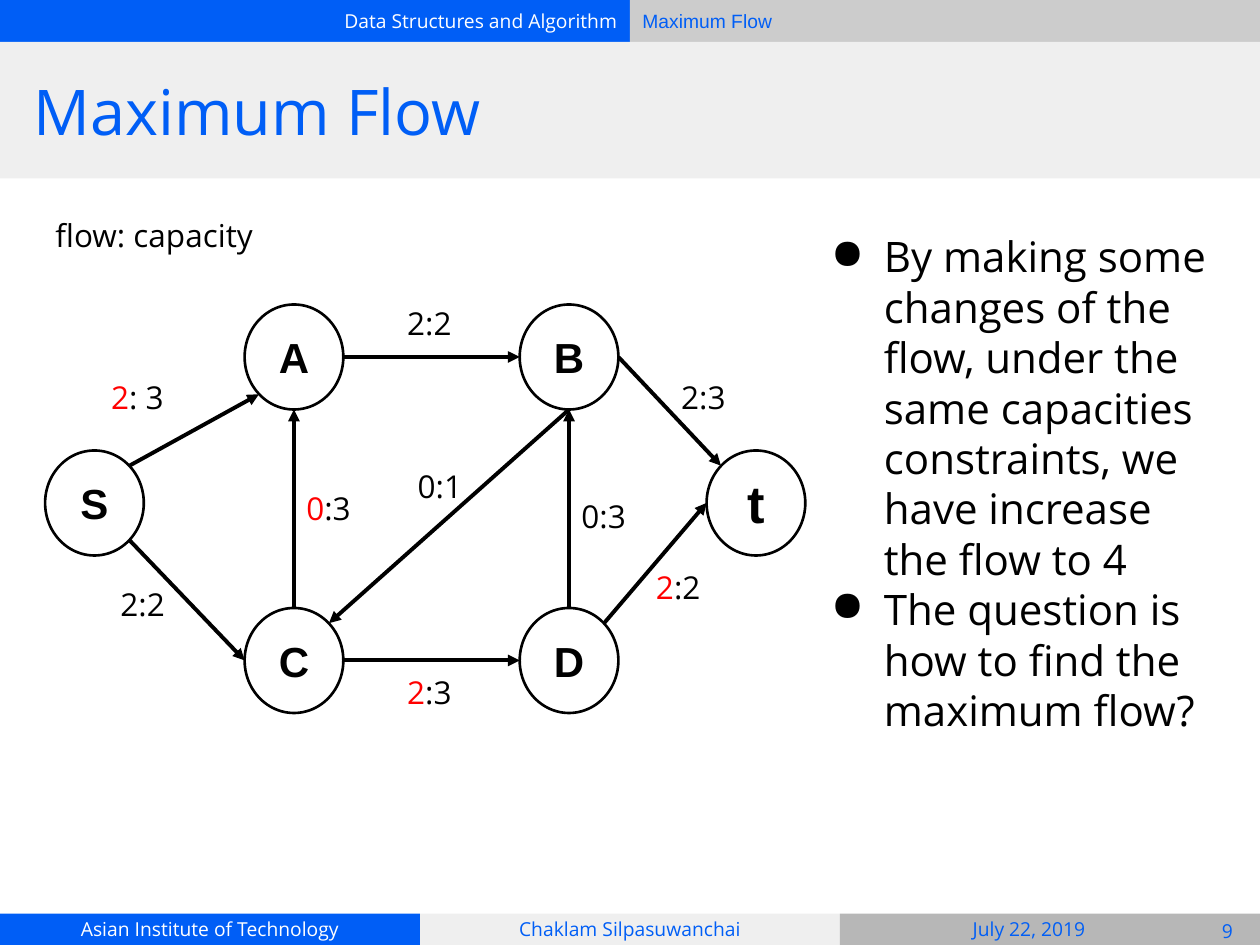
from lxml.etree import SubElement as Sub
from pptx import Presentation
from pptx.dml.color import RGBColor
from pptx.enum.shapes import MSO_CONNECTOR as Link, MSO_SHAPE as Kind
from pptx.enum.text import MSO_ANCHOR as Anchor, MSO_AUTO_SIZE as Fit, PP_ALIGN as Align
from pptx.oxml.ns import qn
from pptx.util import Inches, Pt

COLS, ROWS = 120, 90
WIDE, HIGH = Inches(10), Inches(7.5)
BLUE, WHITE, BLACK, RED = "005EF6", "FFFFFF", "000000", "FF0000"
PALE, GREY, MID = "EFEFEF", "CCCCCC", "B7B7B7"
SANS = "Open Sans"

# Node centres and sizes in columns and rows, measured from the graph's corner
NODE_W, NODE_H = 9.4, 10
NODES = {
    "S": (4.7, 18.9, 24), "t": (67.7, 18.9, 30),
    "A": (23.7, 5, 24), "C": (23.7, 33.9, 24),
    "D": (49.9, 33.9, 24), "B": (49.9, 5, 24),
}
DIAG = 0.71
SIDES = {
    "N": (0, -1), "S": (0, 1), "W": (-1, 0), "E": (1, 0),
    "NE": (DIAG, -DIAG), "SE": (DIAG, DIAG),
    "NW": (-DIAG, -DIAG), "SW": (-DIAG, DIAG),
}
# start, side, end, side, flow, capacity, flow colour, label column, row, width
EDGES = [
    ("S", "NE", "A", "SW", "2", ": 3", RED, 5.1, 5.8, 9.4),
    ("S", "SE", "C", "W", "2", ":2", BLACK, 6, 25.5, 8.6),
    ("A", "E", "B", "W", "2", ":2", BLACK, 33.3, -1.2, 7),
    ("C", "N", "A", "S", "0", ":3", RED, 23.7, 16.4, 7),
    ("B", "S", "C", "NE", "0", ":1", BLACK, 34.3, 14.3, 7),
    ("C", "E", "D", "W", "2", ":3", RED, 33.3, 33.9, 8),
    ("D", "N", "B", "S", "0", ":3", BLACK, 49.9, 17.1, 7),
    ("B", "E", "t", "NW", "2", ":3", BLACK, 59.4, 5.8, 7),
    ("D", "NE", "t", "W", "2", ":2", RED, 57, 23.9, 7),
]
POINTS = [
    "By making some changes of the flow, under the same capacities "
    "constraints, we have increase the flow to 4",
    "The question is how to find the maximum flow?",
]


def rgb(code):
    return RGBColor.from_string(code)


def place(box):
    """Turn a box in columns and rows into lengths."""
    x, y, w, h = box
    return [int(n) for n in (x * WIDE / COLS, y * HIGH / ROWS,
                             w * WIDE / COLS, h * HIGH / ROWS)]


def write(shape, runs, size, face=SANS, bold=False, align=Align.LEFT,
          anchor=Anchor.MIDDLE):
    """Write (text, colour) runs as the shape's first paragraph."""
    frame = shape.text_frame
    inset = Inches(0.1)
    look = dict(word_wrap=True, auto_size=Fit.NONE, vertical_anchor=anchor,
                margin_left=inset, margin_right=inset,
                margin_top=inset, margin_bottom=inset)
    for key, value in look.items():
        setattr(frame, key, value)
    para = frame.paragraphs[0]
    para.alignment = align
    for text, colour in runs:
        run = para.add_run()
        run.text = text
        for key, value in dict(name=face, size=Pt(size), bold=bold).items():
            setattr(run.font, key, value)
        run.font.color.rgb = rgb(colour)


def block(slide, box, fill, kind=Kind.RECTANGLE, line=None):
    shape = slide.shapes.add_shape(kind, *place(box))
    shape.shadow.inherit = False
    shape.fill.solid()
    shape.fill.fore_color.rgb = rgb(fill)
    if line:
        shape.line.color.rgb = rgb(line)
        shape.line.width = Pt(1.5)
    else:
        shape.line.fill.background()
    return shape


def label(slide, box, runs, size, **look):
    text = slide.shapes.add_textbox(*place(box))
    write(text, runs, size, **look)
    return text


def arrow(slide, start, end):
    line = slide.shapes.add_connector(
        Link.STRAIGHT, *place((*start, *end)))
    line.line.color.rgb = rgb(BLACK)
    line.line.width = Pt(2.25)
    Sub(line.line._get_or_add_ln(), qn("a:tailEnd"), type="triangle")
    Sub(line._element.spPr, qn("a:effectLst"))


def header(slide, box):
    x, y, w, h = box
    half = w / 2
    left = block(slide, (x, y, half, h), BLUE)
    write(left, [("Data Structures and Algorithm", WHITE)], 11, align=Align.RIGHT)
    right = block(slide, (x + half, y, half, h), GREY)
    write(right, [("Maximum Flow", BLUE)], 11, face="Arial")


def banner(slide, box):
    x, y, w, h = box
    block(slide, box, PALE)
    title = slide.shapes.title
    slide.shapes._spTree.append(title._element)  # bring in front of the band
    spot = place((x + 2, y, w - 4, h))
    for key, value in zip(("left", "top", "width", "height"), spot):
        setattr(title, key, value)
    write(title, [("Maximum Flow", BLUE)], 36)


def footer(slide, box):
    x, y, w, h = box
    third = w / 3
    first, second, last = (
        block(slide, (x + i * third, y, third, h), fill)
        for i, fill in enumerate((BLUE, PALE, MID)))
    mid = dict(size=11, align=Align.CENTER)
    write(first, [("Asian Institute of Technology", WHITE)], **mid)
    write(second, [("Chaklam Silpasuwanchai", BLUE)], **mid)
    label(slide, (x + 2 * third + 1, y, 34, h), [("July 22, 2019", BLUE)], **mid)
    label(slide, (x + w - 6.2, y + 0.1, 6.2, h), [("9", BLUE)], **mid)


def graph(slide, box):
    """Draw the flow network from the box's top left corner."""
    x, y = box[:2]

    def port(name, side):
        cx, cy, _ = NODES[name]
        dx, dy = SIDES[side]
        return x + cx + dx * NODE_W / 2, y + cy + dy * NODE_H / 2

    for name, (cx, cy, size) in NODES.items():
        spot = (x + cx - NODE_W / 2, y + cy - NODE_H / 2, NODE_W, NODE_H)
        node = block(slide, spot, WHITE, Kind.OVAL, BLACK)
        write(node, [(name, BLACK)], size, face="Arial", bold=True,
              align=Align.CENTER)
    for start, out, end, into, flow, cap, colour, col, row, wide in EDGES:
        arrow(slide, port(start, out), port(end, into))
        label(slide, (x + col, y + row, wide, 6.1),
              [(flow, colour), (cap, BLACK)], 18, anchor=Anchor.TOP)


def notes(slide, box):
    """Write the bulleted points."""
    text = slide.shapes.add_textbox(*place(box))
    write(text, [(POINTS[0], BLACK)], 24, anchor=Anchor.TOP)
    frame = text.text_frame
    for point in POINTS[1:]:
        para = frame.add_paragraph()
        run = para.add_run()
        run.text = point
        for key, value in dict(name=SANS, size=Pt(24)).items():
            setattr(run.font, key, value)
        run.font.color.rgb = rgb(BLACK)
    for para in frame.paragraphs:
        props = para._p.get_or_add_pPr()
        props.set("marL", str(Inches(0.5)))
        props.set("indent", str(Inches(-0.42)))
        tint = Sub(props, qn("a:buClr"))
        Sub(tint, qn("a:srgbClr"), val=BLACK)
        Sub(props, qn("a:buChar"), char="●")


def main():
    deck = Presentation()
    deck.slide_width, deck.slide_height = WIDE, HIGH
    slide = deck.slides.add_slide(deck.slide_layouts[5])
    header(slide, (0, 0, COLS, 4))
    footer(slide, (0, 87, COLS, 3))
    banner(slide, (0, 4, COLS, 13))
    graph(slide, (4.3, 29, 72.4, 38.9))
    label(slide, (4.1, 19.4, 22.2, 8.8), [("flow: capacity", BLACK)], 18,
          anchor=Anchor.TOP)
    notes(slide, (77, 20.8, 40.9, 54.2))
    deck.save("out.pptx")


if __name__ == "__main__":
    main()
